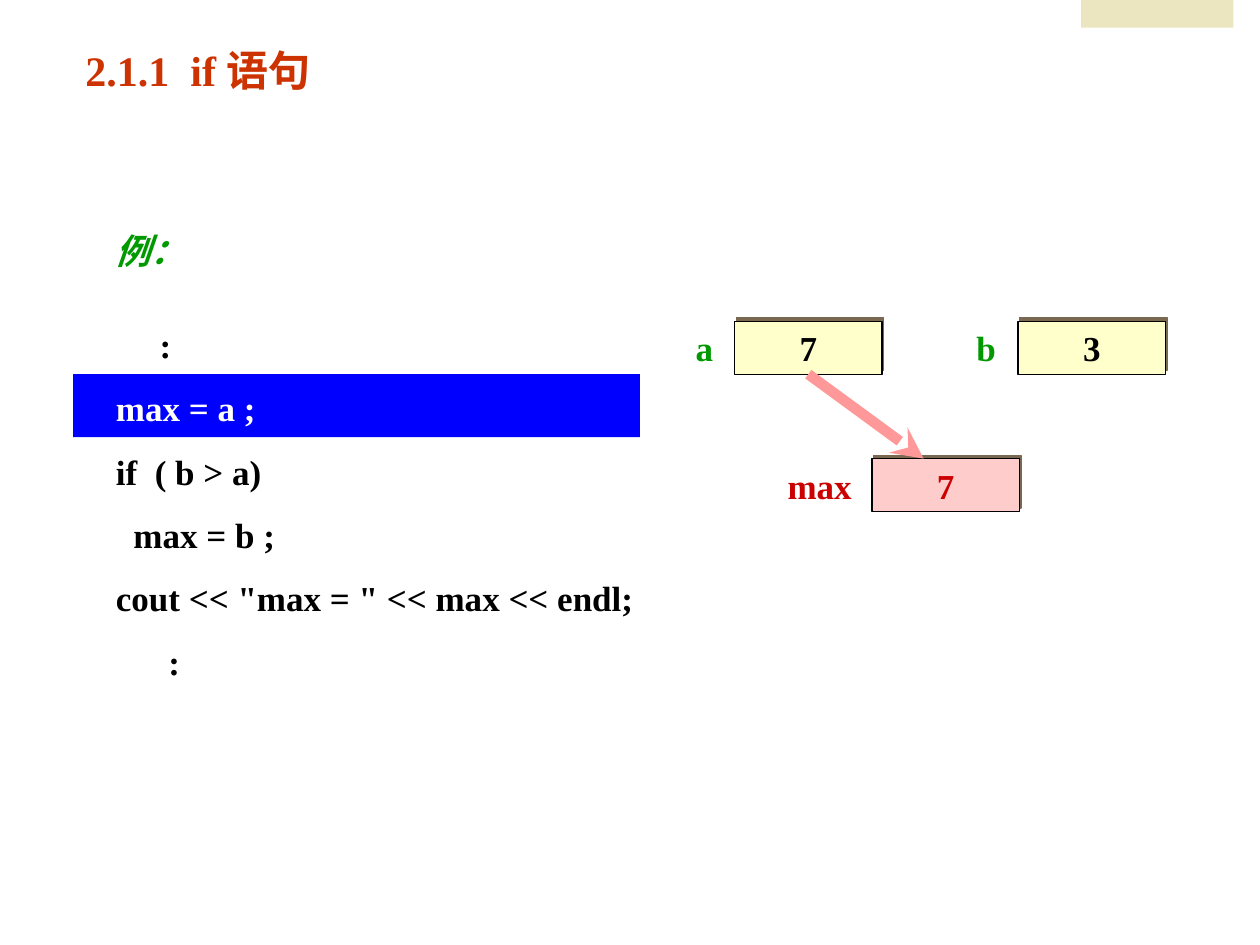
from lxml import etree
from pptx import Presentation
from pptx import util as u
from pptx.dml.color import RGBColor
from pptx.enum import shapes, text
from pptx.oxml import ns

HUES = {
    "title": "CC3300", "name": "009900", "max": "CC0000", "code": "000000",
    "lit": "FFFFFF", "bar": "0000FF", "cell": "FFFFCC", "goal": "FFCCCC",
    "shade": "786950", "arrow": "FF9999", "tab": "ECE6C0",
}
FONT = "Times New Roman"


def rect(x, y, w, h, hue):
    box = page.shapes.add_shape(
        shapes.MSO_SHAPE.RECTANGLE, u.Inches(x), u.Inches(y), u.Inches(w), u.Inches(h))
    box.shadow.inherit = False
    box.fill.solid()
    box.fill.fore_color.rgb = RGBColor.from_string(HUES[hue])
    box.line.fill.background()
    return box


def write(para, words, hue, size=20):
    run = para.add_run()
    run.text = words
    run.font.name = FONT
    run.font.size = u.Pt(size)
    run.font.bold = True
    run.font.color.rgb = RGBColor.from_string(HUES[hue])
    return run


deck = Presentation()
deck.slide_width, deck.slide_height = u.Inches(10), u.Inches(7.5)
page = deck.slides.add_slide(deck.slide_layouts[6])

# Corner tab, highlighted code line and title
rect(8.58, 0, 1.21, 0.22, "tab")
rect(0.58, 2.97, 4.5, 0.5, "bar")
head = page.shapes.add_textbox(
    u.Inches(0.58), u.Inches(0.22), u.Inches(6.17), u.Inches(0.67)).text_frame
head.word_wrap = True
head.vertical_anchor = text.MSO_ANCHOR.MIDDLE
write(head.paragraphs[0], "2.1.1  if 语句", "title", 24)

# Variables: name, value, label left and width, cell left and top, colours
cells = {}
for name, value, left, wide, x, y, hue, fill, ink in [
    ("a", "7", 5.42, 0.34, 5.83, 2.55, "name", "cell", "code"),
    ("b", "3", 7.65, 0.35, 8.08, 2.55, "name", "cell", "code"),
    ("max", "7", 6.15, 0.71, 6.92, 3.64, "max", "goal", "max"),
]:
    cell = rect(x, y, 1.17, 0.42, fill)
    cell.line.color.rgb = RGBColor.from_string(HUES["code"])
    cell.line.width = u.Pt(0.75)
    glow = cell._element.spPr.find(ns.qn("a:effectLst"))
    cast = etree.SubElement(glow, ns.qn("a:outerShdw"), blurRad="0",
                            dist=str(u.Pt(2.2)), dir=str(296 * 60000), algn="ctr")
    etree.SubElement(cast, ns.qn("a:srgbClr"), val=HUES["shade"])
    label = page.shapes.add_textbox(
        u.Inches(left), u.Inches(y - 0.01), u.Inches(wide), u.Inches(0.44))
    for box, words, tone in [(cell, value, ink), (label, name, hue)]:
        frame = box.text_frame
        frame.word_wrap = False
        frame.vertical_anchor = text.MSO_ANCHOR.MIDDLE
        frame.paragraphs[0].alignment = text.PP_ALIGN.CENTER
        write(frame.paragraphs[0], words, tone)
    cells[name] = cell

# Arrow for the assignment max = a
arrow = page.shapes.add_connector(
    shapes.MSO_CONNECTOR.STRAIGHT,
    u.Inches(6.42), u.Inches(2.97), u.Inches(7.33), u.Inches(3.64))
arrow.begin_connect(cells["a"], 2)
arrow.line.color.rgb = RGBColor.from_string(HUES["arrow"])
arrow.line.width = u.Pt(6)
etree.SubElement(arrow.line._get_or_add_ln(), ns.qn("a:tailEnd"), type="stealth")
etree.SubElement(arrow._element.spPr, ns.qn("a:effectLst"))

# Code: words, colour, space before
code = page.shapes.add_textbox(
    u.Inches(0.58), u.Inches(1.67), u.Inches(4.67), u.Inches(4)).text_frame
code.word_wrap = True
code.margin_left = u.Inches(0.34)
code.margin_right = 0
for i, (words, hue, gap) in enumerate([
    ("例：", "name", 0),
    ("     :", "code", 22.7),
    ("max = a ;", "lit", 5),
    ("if  ( b > a)", "code", 5),
    ("  max = b ;", "code", 5),
    ('cout << "max = " << max << endl;', "code", 5),
    ("      :", "code", 5),
]):
    para = code.add_paragraph() if i else code.paragraphs[0]
    para.line_spacing = u.Pt(31.2)
    para.space_before = u.Pt(gap)
    run = write(para, words, hue)
    run.font.italic = i == 0

deck.save("out.pptx")
